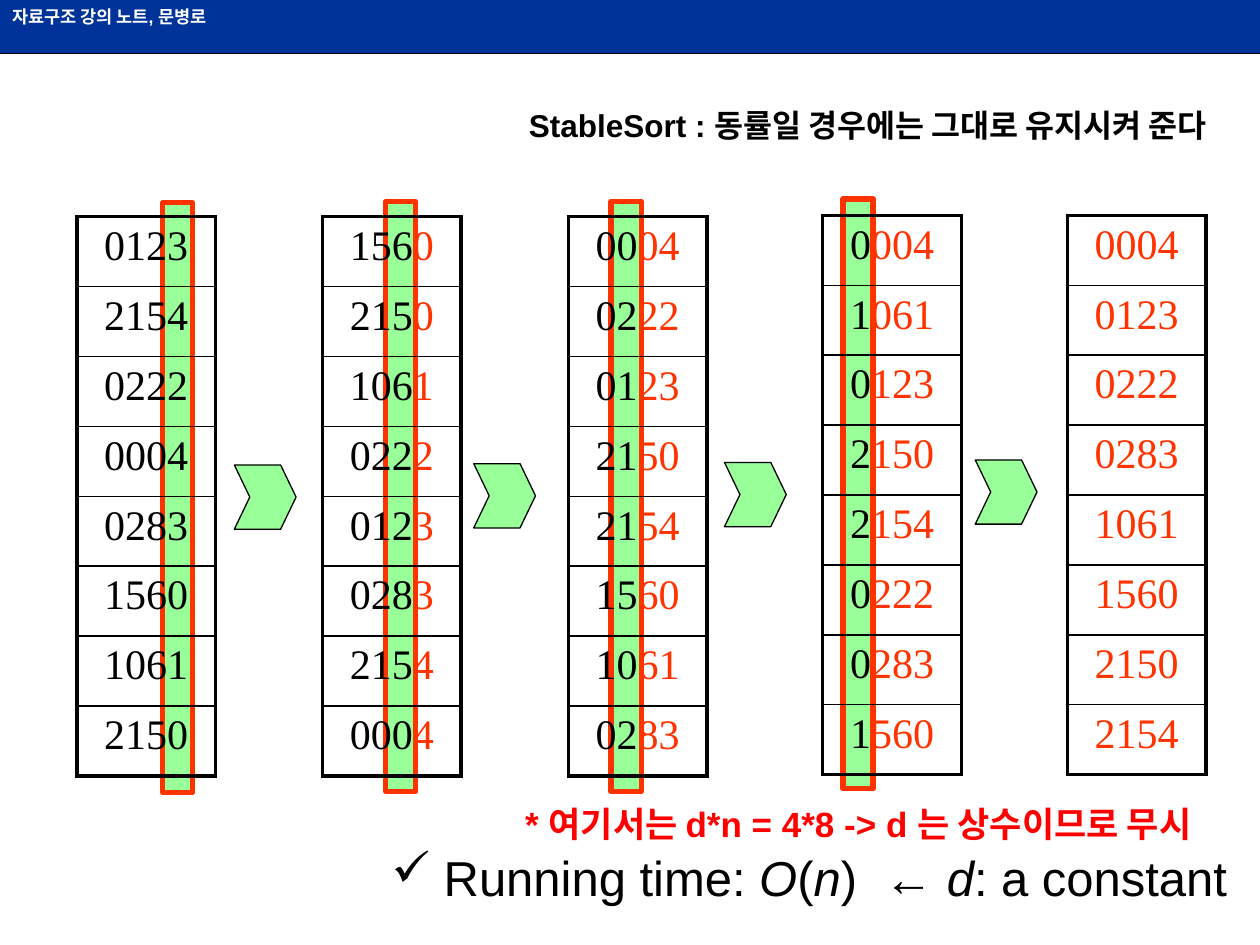
import lxml.etree
import pptx
import pptx.dml.color
import pptx.enum.shapes
import pptx.enum.text
import pptx.oxml.ns
import pptx.util
from pptx.util import Inches

COLORS = {
    "black": "000000",
    "white": "FFFFFF",
    "navy": "003399",
    "green": "99FF99",
    "orange": "FF3300",
    "red": "FF0000",
}
SHAPES = pptx.enum.shapes.MSO_SHAPE
ALIGN = pptx.enum.text.PP_ALIGN

NUMBERS = ["0123", "2154", "0222", "0004", "0283", "1560", "1061", "2150"]
DIGITS = 4
TABLE_PLACES = [(0.61, 1.72), (2.56, 1.72), (4.51, 1.72), (6.53, 1.71), (8.47, 1.71)]
MARKER_PLACES = [(1.29, 1.61), (3.06, 1.6), (4.85, 1.6), (6.69, 1.58)]
CHEVRON_PLACES = [(1.86, 3.69), (3.76, 3.68), (5.75, 3.67), (7.74, 3.65)]


def rgb(name):
    return pptx.dml.color.RGBColor.from_string(COLORS[name])


def add_text(para, text, size=24, font="Arial", color="black", bold=False, italic=False):
    span = para.add_run()
    span.text = text
    span.font.size = pptx.util.Pt(size)
    span.font.name = font
    span.font.bold = bold
    span.font.italic = italic
    span.font.color.rgb = rgb(color)


def add_block(shapes, kind, left, top, width, height, fill, line=None, weight=0.75):
    block = shapes.add_shape(kind, Inches(left), Inches(top), Inches(width), Inches(height))
    block.shadow.inherit = False
    block.fill.solid()
    block.fill.fore_color.rgb = rgb(fill)
    if line:
        block.line.color.rgb = rgb(line)
        block.line.width = pptx.util.Pt(weight)
    else:
        block.line.fill.background()
    return block


def add_text_box(page, left, top, width, height, wrap=True):
    """Add a text box and return its first paragraph."""
    box = page.shapes.add_textbox(Inches(left), Inches(top), Inches(width), Inches(height))
    box.text_frame.word_wrap = wrap
    box.text_frame.auto_size = pptx.enum.text.MSO_AUTO_SIZE.SHAPE_TO_FIT_TEXT
    return box.text_frame.paragraphs[0]


def add_header(page):
    rule = page.shapes.add_connector(
        pptx.enum.shapes.MSO_CONNECTOR.STRAIGHT, 0, Inches(0.42), Inches(10), Inches(0.42))
    rule.line.color.rgb = rgb("black")
    rule.line.width = pptx.util.Pt(1.5)
    properties = rule._element.spPr
    lxml.etree.SubElement(properties, pptx.oxml.ns.qn("a:effectLst"))

    frame = add_block(page.shapes, SHAPES.RECTANGLE, 0, 0, 10, 0.42, "navy").text_frame
    frame.vertical_anchor = pptx.enum.text.MSO_ANCHOR.TOP
    para = frame.paragraphs[0]
    para.alignment = ALIGN.LEFT
    add_text(para, "자료구조 강의 노트, 문병로", size=10, color="white", bold=True)


def add_sort_step(page, marker, chevron):
    """Add the digit marker and the chevron that leads to the next table."""
    group = page.shapes.add_group_shape()
    add_block(group.shapes, SHAPES.RECTANGLE, *marker, 0.24, 4.68, "green", "orange", 3)
    arrow = add_block(group.shapes, SHAPES.CHEVRON, *chevron, 0.49, 0.51, "green", "black")
    arrow.adjustments[0] = 0.25


def set_borders(cell, **weights):
    """Set cell borders from weights in points, keyed by side: L, R, T, B."""
    properties = cell._tc.get_or_add_tcPr()
    for place, (side, weight) in enumerate(weights.items()):
        line = lxml.etree.Element(
            pptx.oxml.ns.qn(f"a:ln{side}"), w=str(pptx.util.Pt(weight)))
        fill = lxml.etree.SubElement(line, pptx.oxml.ns.qn("a:solidFill"))
        lxml.etree.SubElement(fill, pptx.oxml.ns.qn("a:srgbClr"), val=COLORS["black"])
        properties.insert(place, line)


def add_number_table(page, left, top, numbers, unsorted_digits):
    """Add a column of numbers whose already sorted digits are orange."""
    count = len(numbers)
    table = page.shapes.add_table(
        count, 1, Inches(left), Inches(top), Inches(1.1), Inches(4.44)).table
    table.first_row = False
    table.horz_banding = False
    for index, number in enumerate(numbers):
        cell = table.cell(index, 0)
        cell.fill.background()
        set_borders(cell, L=2.25, R=2.25, T=2.25 if index == 0 else 1,
                    B=2.25 if index == count - 1 else 1)
        para = cell.text_frame.paragraphs[0]
        para.alignment = ALIGN.CENTER
        parts = [(number[:unsorted_digits], "black"), (number[unsorted_digits:], "orange")]
        for digits, color in parts:
            if digits:
                add_text(para, digits, font="Times New Roman", color=color)


def add_running_time(page):
    para = add_text_box(page, 3.01, 6.68, 6.85, 0.57, wrap=False)
    properties = para._p.get_or_add_pPr()
    lxml.etree.SubElement(properties, pptx.oxml.ns.qn("a:buChar"), char="✓")
    parts = [(" Running time:", False), (" O", True), ("(", False), ("n", True),
             (")  ← ", False), ("d", True), (": a constant", False)]
    for text, italic in parts:
        add_text(para, text, size=28, italic=italic)


def main():
    deck = pptx.Presentation()
    deck.slide_width, deck.slide_height = Inches(10), Inches(7.5)
    page = deck.slides.add_slide(deck.slide_layouts[6])

    add_header(page)
    for marker, chevron in zip(MARKER_PLACES, CHEVRON_PLACES):
        add_sort_step(page, marker, chevron)

    numbers = NUMBERS
    for step, (left, top) in enumerate(TABLE_PLACES):
        digit = DIGITS - step
        if step:
            numbers = sorted(numbers, key=lambda number: number[digit])
        add_number_table(page, left, top, numbers, digit)

    add_running_time(page)
    add_text(add_text_box(page, 4.1, 0.79, 7.26, 0.4),
             "StableSort : 동률일 경우에는 그대로 유지시켜 준다", size=18, bold=True)
    add_text(add_text_box(page, 4.07, 6.32, 5.83, 0.44),
             "* 여기서는 d*n = 4*8 -> d 는 상수이므로 무시", size=20, color="red", bold=True)
    deck.save("out.pptx")


if __name__ == "__main__":
    main()
